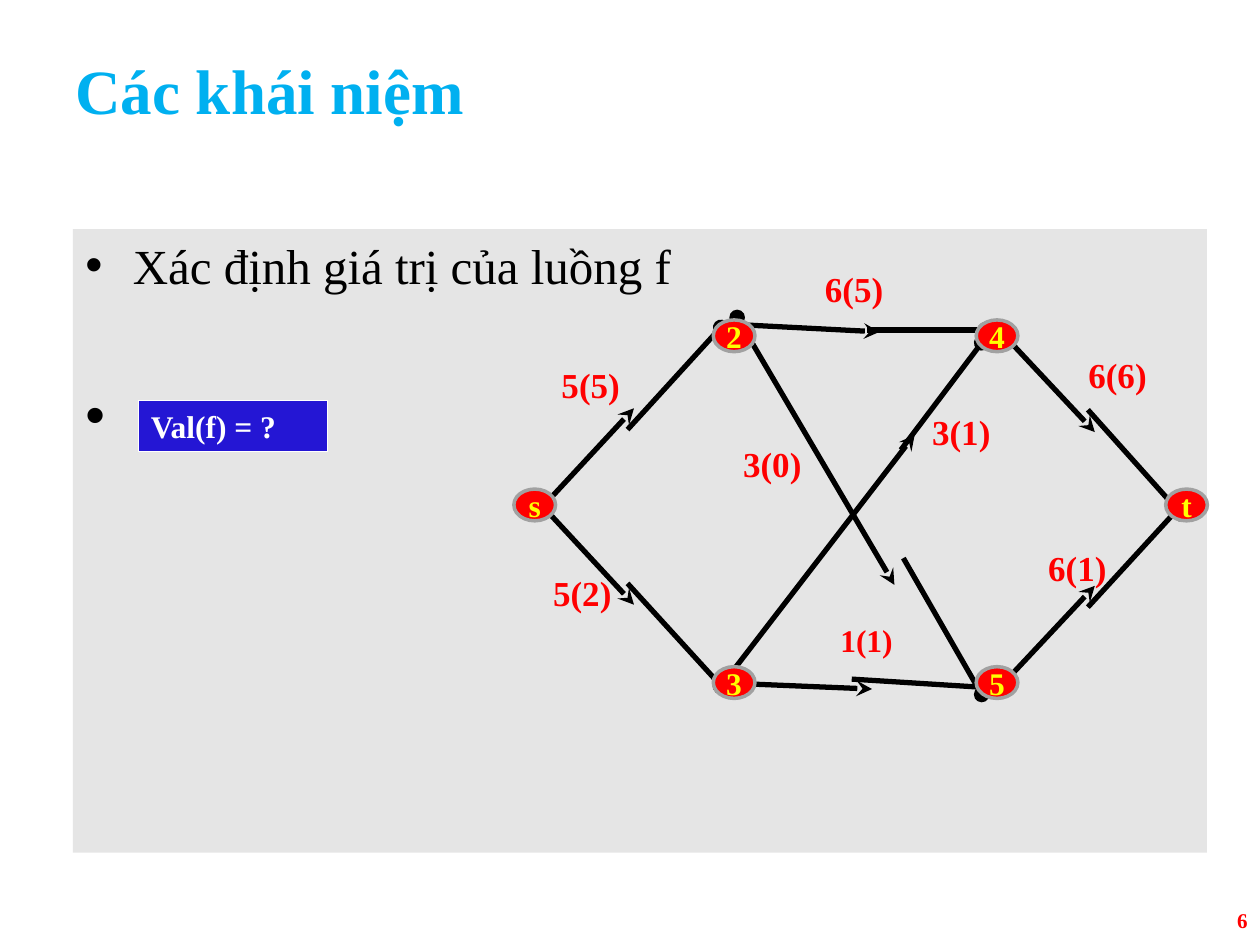
"""Build a slide that asks for the value of a flow in a small network."""
from lxml import etree
from pptx import Presentation
from pptx.dml.color import RGBColor
from pptx.enum.shapes import MSO_CONNECTOR, MSO_SHAPE
from pptx.enum.text import MSO_ANCHOR, PP_ALIGN
from pptx.oxml.ns import qn
from pptx.util import Cm, Pt

STRAIGHT = MSO_CONNECTOR.STRAIGHT
RECTANGLE = MSO_SHAPE.RECTANGLE
NODE_SHAPE = MSO_SHAPE.FLOWCHART_CONNECTOR
TOP, MIDDLE = MSO_ANCHOR.TOP, MSO_ANCHOR.MIDDLE
LEFT, CENTER, RIGHT = PP_ALIGN.LEFT, PP_ALIGN.CENTER, PP_ALIGN.RIGHT

FONT = "Times New Roman"
BLACK, WHITE, RED, YELLOW = "000000", "FFFFFF", "FF0000", "FFFF00"
SKY, PANEL, GREY, BLUE = "00B0F0", "E5E5E5", "A1A1A1", "2416D4"

TITLE = "Các khái niệm"
BULLETS = [("Xác định giá trị của luồng f", 28, 0), (" ", 32, 49.6)]
QUESTION = "Val(f) = ?"
PAGE_NUMBER = "6"

NODE_SIZE = (0.84, 0.64)
NODE_CENTERS = {
    "2": (14.8, 6.77), "4": (20.1, 6.77), "t": (23.92, 10.18),
    "5": (20.1, 13.76), "3": (14.8, 13.76), "s": (10.78, 10.18),
}

EDGES = [
    ((10.87, 10.29, 12.78, 8.23), (12.65, 8.66, 14.53, 6.6)),
    ((10.87, 10.13, 12.78, 12.19), (12.65, 11.76, 14.53, 13.82)),
    ((20.14, 6.65, 22.07, 8.71), (21.93, 8.26, 23.81, 10.36)),
    ((20.14, 13.87, 22.07, 11.81), (21.93, 12.24, 23.81, 10.19)),
    ((14.81, 6.54, 17.73, 6.69), (17.48, 6.65, 19.86, 6.65)),
    ((14.68, 13.77, 17.58, 13.89), (17.17, 13.69, 20.04, 13.87)),
    ((14.86, 6.4, 18.03, 11.79), (18.21, 11.25, 19.79, 14.0)),
    ((14.53, 13.84, 18.44, 8.76), (18.16, 9.07, 19.79, 6.91)),
]

LABEL_SIZE = (2.06, 1.12)
LABELS = [
    ("5(5)", 11.07, 7.21, 20), ("5(2)", 10.9, 11.4, 20),
    ("6(5)", 16.38, 5.26, 20), ("3(1)", 18.54, 8.15, 20),
    ("1(1)", 16.69, 12.4, 18), ("3(0)", 14.73, 8.79, 20),
    ("6(1)", 20.88, 10.9, 20), ("6(6)", 21.69, 7.01, 20),
]


def color(value):
    return RGBColor.from_string(value)


def add_run(paragraph, text, size, ink, bold=True):
    run = paragraph.add_run()
    run.text = text
    run.font.name = FONT
    run.font.size = Pt(size)
    run.font.bold = bold
    run.font.color.rgb = color(ink)


def write(shape, text, size, ink, align=LEFT, anchor=TOP, wrap=True):
    frame = shape.text_frame
    frame.word_wrap = wrap
    frame.vertical_anchor = anchor
    frame.paragraphs[0].alignment = align
    add_run(frame.paragraphs[0], text, size, ink)


def add_text(slide, box, *text, **layout):
    write(slide.shapes.add_textbox(*map(Cm, box)), *text, **layout)


def add_shape(slide, kind, box, fill, line=None, width=0):
    shape = slide.shapes.add_shape(kind, *map(Cm, box))
    shape.shadow.inherit = False
    shape.fill.solid()
    shape.fill.fore_color.rgb = color(fill)
    if line:
        shape.line.color.rgb = color(line)
        shape.line.width = Pt(width)
    else:
        shape.line.fill.background()
    return shape


def add_line(slide, points, **ends):
    connector = slide.shapes.add_connector(STRAIGHT, *map(Cm, points))
    connector.line.color.rgb = color(BLACK)
    connector.line.width = Pt(3)
    line = connector.line._get_or_add_ln()
    for tag, kind in ends.items():
        etree.SubElement(line, qn(f"a:{tag}"), type=kind)
    etree.SubElement(connector._element.spPr, qn("a:effectLst"))


def add_panel(slide):
    panel = add_shape(slide, RECTANGLE, (1.47, 4.62, 22.86, 12.57), PANEL)
    frame = panel.text_frame
    frame.word_wrap = True
    frame.vertical_anchor = TOP
    for index, (text, size, space) in enumerate(BULLETS):
        paragraph = frame.add_paragraph() if index else frame.paragraphs[0]
        paragraph.alignment = LEFT
        paragraph.space_before = Pt(space)
        add_run(paragraph, text, size, BLACK, bold=False)
        properties = paragraph._p.get_or_add_pPr()
        properties.set("marL", str(Cm(0.96)))
        properties.set("indent", str(Cm(-0.96)))
        etree.SubElement(properties, qn("a:buFont"), typeface="Arial")
        etree.SubElement(properties, qn("a:buChar"), char="•")


def add_network(slide):
    for first_half, second_half in EDGES:
        add_line(slide, first_half, headEnd="oval", tailEnd="stealth")
        add_line(slide, second_half, tailEnd="oval")
    for text, left, top, size in LABELS:
        add_text(slide, (left, top, *LABEL_SIZE), text, size, RED)
    width, height = NODE_SIZE
    for name, (x, y) in NODE_CENTERS.items():
        box = (x - width / 2, y - height / 2, width, height)
        node = add_shape(slide, NODE_SHAPE, box, RED, GREY, 2)
        write(node, name, 18, YELLOW, CENTER, MIDDLE, wrap=False)


def main():
    presentation = Presentation()
    presentation.slide_width = Cm(25.4)
    presentation.slide_height = Cm(19.05)
    slide = presentation.slides.add_slide(presentation.slide_layouts[6])
    add_text(slide, (1.27, 1.07, 22.86, 1.47), TITLE, 36, SKY, anchor=MIDDLE)
    add_panel(slide)
    add_text(slide, (19.48, 18.03, 5.92, 1.02), PAGE_NUMBER, 12, RED,
             align=RIGHT, anchor=MIDDLE)
    add_network(slide)
    question = add_shape(slide, RECTANGLE, (2.79, 8.08, 3.81, 1.02), BLUE, WHITE, 0.75)
    write(question, QUESTION, 18, WHITE)
    presentation.save("out.pptx")


if __name__ == "__main__":
    main()
